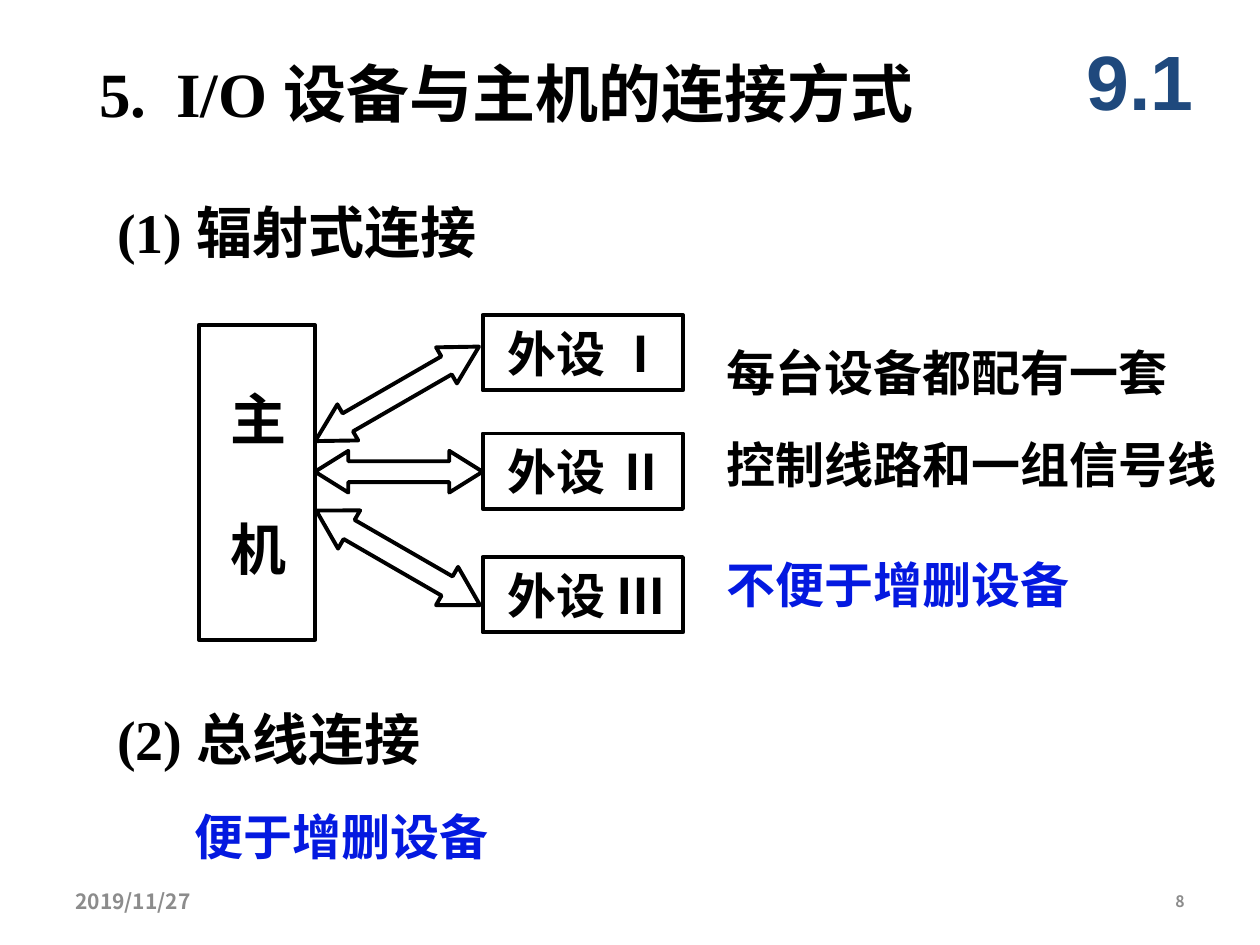
"""Build the slide on how I/O devices connect to the host."""
from dataclasses import dataclass

import pptx
import pptx.dml.color
import pptx.enum.shapes
import pptx.enum.text
import pptx.util

Cm = pptx.util.Cm
Pt = pptx.util.Pt
RGB = pptx.dml.color.RGBColor
Align = pptx.enum.text.PP_ALIGN
Anchor = pptx.enum.text.MSO_ANCHOR
Kind = pptx.enum.shapes.MSO_SHAPE


@dataclass(frozen=True)
class Theme:
    serif: str = "Times New Roman"
    sans: str = "Arial"
    footer: str = "Noto Sans CJK SC"
    black: RGB = RGB(0x00, 0x00, 0x00)
    blue: RGB = RGB(0x04, 0x19, 0xE0)
    navy: RGB = RGB(0x1F, 0x49, 0x7D)
    grey: RGB = RGB(0x8C, 0x8C, 0x8C)
    title: float = 36
    section: float = 44
    heading: float = 32
    body: float = 28
    date: float = 12
    number: float = 9
    line: float = 2.25


THEME = Theme()


@dataclass(frozen=True)
class Box:
    left: float
    top: float
    width: float
    height: float

    def lengths(self) -> tuple:
        return Cm(self.left), Cm(self.top), Cm(self.width), Cm(self.height)


@dataclass(frozen=True)
class Label:
    text: str
    box: Box
    size: float = THEME.body
    color: RGB = THEME.black
    font: str = THEME.serif
    align: Align = Align.LEFT
    anchor: Anchor = Anchor.TOP


@dataclass(frozen=True)
class Arrow:
    box: Box
    rotation: float
    head: float


TITLE = Label("5.\tI/O 设备与主机的连接方式", Box(1.75, 0.97, 17.35, 1.78), THEME.title)
TITLE_INDENT = 1.55
LABELS = [
    Label("(1) 辐射式连接", Box(2.11, 3.86, 10.8, 1.6), THEME.heading),
    Label("(2) 总线连接", Box(2.11, 14.07, 9.96, 1.6), THEME.heading),
    Label("主", Box(4.39, 7.62, 1.65, 1.6), THEME.heading),
    Label("机", Box(4.39, 10.24, 1.65, 1.6), THEME.heading),
    Label("每台设备都配有一套", Box(14.4, 6.78, 9.4, 1.45)),
    Label("控制线路和一组信号线", Box(14.4, 8.64, 10.5, 1.45)),
    Label("不便于增删设备", Box(14.4, 11.05, 8.69, 1.45), color=THEME.blue),
    Label("便于增删设备", Box(3.68, 16.13, 16.71, 1.45), color=THEME.blue),
    Label("9.1", Box(21.39, 0.43, 3.18, 2.34), THEME.section, THEME.navy,
          THEME.sans, Align.CENTER, Anchor.MIDDLE),
    Label("2019/11/27", Box(1.27, 17.65, 5.92, 1.02), THEME.date, THEME.grey,
          THEME.footer, anchor=Anchor.MIDDLE),
    Label("8", Box(18.21, 17.65, 5.92, 1.02), THEME.number, THEME.grey,
          THEME.footer, Align.RIGHT, Anchor.MIDDLE),
]
HOST = Box(4.01, 6.55, 2.34, 6.35)
PERIPHERALS = [
    Label(f"外设 {numeral}", Box(9.73, top, 4.04, 1.52), anchor=Anchor.MIDDLE)
    for numeral, top in (("Ⅰ", 6.35), ("Ⅱ", 8.74), ("Ⅲ", 11.23))
]
ARROWS = [
    Arrow(Box(6.1, 7.52, 3.81, 0.84), 150, 0.9),
    Arrow(Box(6.35, 9.09, 3.38, 0.84), 0, 0.8),
    Arrow(Box(6.12, 10.8, 3.81, 0.89), 30, 0.86),
]


def write(sp, label: Label) -> None:
    """Fill a shape with the text of a label."""
    tf = sp.text_frame
    tf.word_wrap = True
    tf.auto_size = pptx.enum.text.MSO_AUTO_SIZE.NONE
    tf.vertical_anchor = label.anchor
    p = tf.paragraphs[0]
    p.text = label.text
    p.alignment = label.align
    p.font.name = label.font
    p.font.size = Pt(label.size)
    p.font.bold = True
    p.font.color.rgb = label.color


def add_title(s, label: Label) -> None:
    """Place the slide title with a hanging number."""
    sp = s.shapes.title
    sp.left, sp.top, sp.width, sp.height = label.box.lengths()
    write(sp, label)
    pPr = sp.text_frame.paragraphs[0]._p.get_or_add_pPr()
    pPr.set("marL", str(Cm(TITLE_INDENT)))
    pPr.set("indent", str(-Cm(TITLE_INDENT)))


def add_outline(s, kind: Kind, box: Box):
    """Add an unfilled shape with a black outline."""
    sp = s.shapes.add_shape(kind, *box.lengths())
    sp.shadow.inherit = False
    sp.fill.background()
    sp.line.color.rgb = THEME.black
    sp.line.width = Pt(THEME.line)
    return sp


def add_peripheral(s, label: Label) -> None:
    """Add a boxed device name."""
    sp = add_outline(s, Kind.RECTANGLE, label.box)
    write(sp, label)
    tf = sp.text_frame
    tf.margin_left = Cm(0.5)
    tf.margin_right = tf.margin_top = tf.margin_bottom = 0


def add_arrow(s, arrow: Arrow) -> None:
    """Add a double-headed block arrow."""
    sp = add_outline(s, Kind.LEFT_RIGHT_ARROW, arrow.box)
    sp.adjustments[0] = 0.5
    sp.adjustments[1] = arrow.head
    sp.rotation = arrow.rotation


def main() -> None:
    """Build and save the slide."""
    prs = pptx.Presentation()
    prs.slide_width, prs.slide_height = Cm(25.4), Cm(19.05)
    s = prs.slides.add_slide(prs.slide_layouts.get_by_name("Title Only"))
    add_title(s, TITLE)
    add_outline(s, Kind.RECTANGLE, HOST)
    for label in PERIPHERALS:
        add_peripheral(s, label)
    for arrow in ARROWS:
        add_arrow(s, arrow)
    for label in LABELS:
        write(s.shapes.add_textbox(*label.box.lengths()), label)
    prs.save("out.pptx")


if __name__ == "__main__":
    main()
